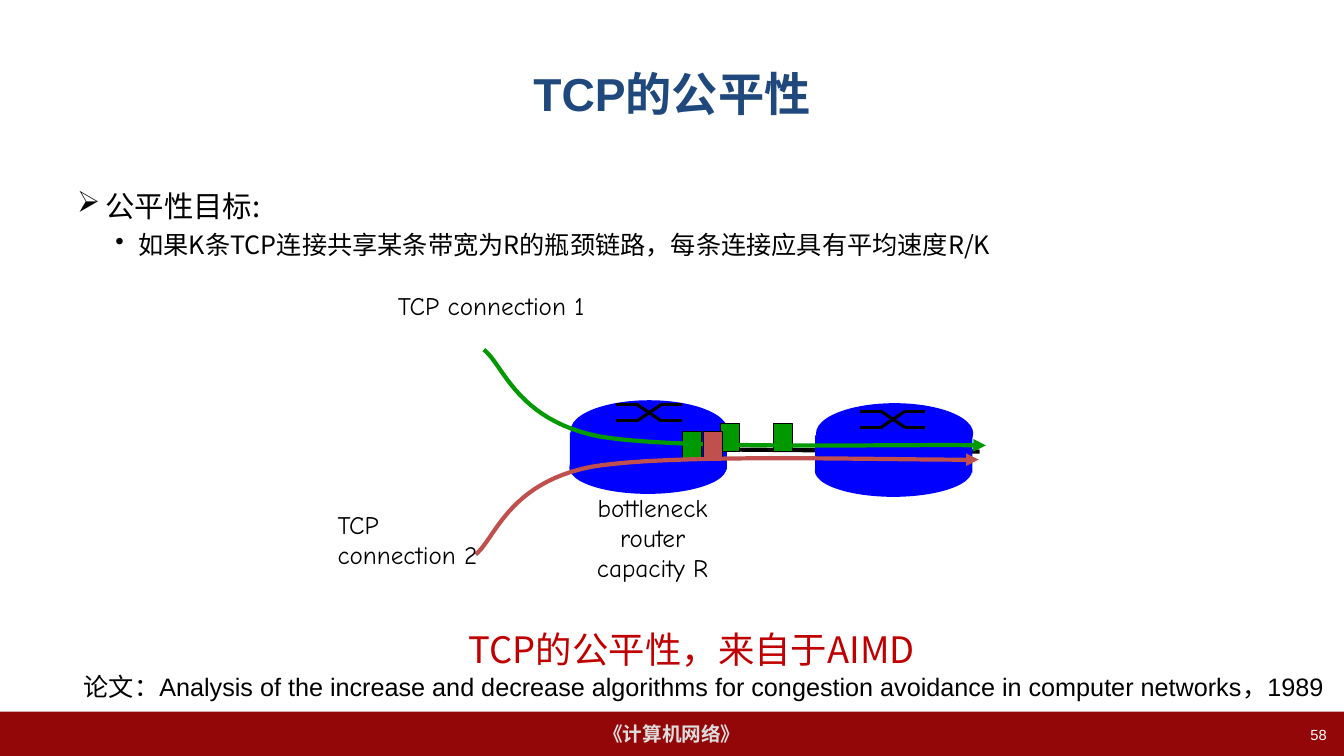
"""Build the slide on TCP fairness with its bottleneck router diagram."""
from lxml.etree import SubElement
from pptx import Presentation
from pptx.dml.color import RGBColor
from pptx.enum.shapes import MSO_CONNECTOR, MSO_SHAPE
from pptx.enum.text import MSO_ANCHOR, PP_ALIGN
from pptx.oxml.ns import qn
from pptx.util import Pt

COLORS = {"bar": "940709", "bar text": "DDDDDD", "title": "1F497D", "black": "000000",
          "white": "FFFFFF", "router": "0000FF", "green": "009900", "red": "C0504D",
          "claim": "C00000"}
SANS, CJK, COMIC = "Arial", "Noto Sans CJK SC", "Comic Neue"
LEFT, CENTER, RIGHT = PP_ALIGN.LEFT, PP_ALIGN.CENTER, PP_ALIGN.RIGHT

TITLE = "TCP的公平性"
BAR_TEXT = "《计算机网络》"
BULLETS = [
    ("➢", "公平性目标:", 21, 20.16, -20.16),
    ("•", "如果K条TCP连接共享某条带宽为R的瓶颈链路，每条连接应具有平均速度R/K", 18, 43.92, -16.56),
]
LABELS = [
    (["58"], (730.8, 514.8, 223.9, 25.2), RIGHT, 10.5, SANS, "white", 1, True),
    (["TCP connection 1"], (277.2, 203.8, 156.2, 28.8), LEFT, 18, COMIC, "black", 1, True),
    (["bottleneck", "router", "capacity R"], (413.3, 347.8, 105.8, 72.7),
     CENTER, 18, COMIC, "black", 1, True),
    (["TCP", "connection 2"], (234, 360, 121, 51.1), LEFT, 18, COMIC, "black", 1, True),
    (["TCP的公平性，来自于AIMD"], (219.6, 437.8, 549.4, 41.8), CENTER, 26, CJK, "claim", 1.2, True),
    (["论文：Analysis of the increase and decrease algorithms for congestion avoidance "
      "in computer networks，1989"], (43.2, 475.9, 918.7, 28.8), CENTER, 18, SANS, "black", 1, False),
]

LINKS = [((518.4, 321.1), (699.8, 322.6), 3), ((582.5, 314.6), (582.5, 337.7), 1)]
ROUTER_PARTS = [
    (MSO_SHAPE.OVAL, 0, 29.5, 37.4),
    (MSO_SHAPE.RECTANGLE, 0.3, 23, 26.6),
    (MSO_SHAPE.OVAL, 0.9, 0, 43.2),
]
ROUTER_WIDTH = 112.3
ROUTERS = [((406.7, 285.9), (440, 289)), ((582, 288), (614.2, 293.7))]
CROSS_HEIGHT = 11.6
CROSS_STROKES = [((0, 0), (16.5, 0)), ((15.1, 0), (32.3, 1)), ((32.3, 1), (46.8, 1))]
PACKET_SIZE = (13.7, 20.2)
FLOWS = [
    ("green", [(552.2, 302.4), (487.4, 308.2), (514.8, 302.4)],
     [(345.6, 249.8), (359.3, 259.9), (368.6, 300.2), (428.4, 311.8),
      (488.2, 321.8), (646.6, 316.8), (704.2, 318.2)]),
    ("red", [(502.6, 308.2)],
     [(339.8, 396), (353.5, 385.2), (362.9, 344.9), (422.6, 333.4),
      (482.4, 323.3), (641.5, 329), (699.1, 328.3)]),
]
CURVE_STEPS = 24


def color(name):
    return RGBColor.from_string(COLORS[name])


def add_run(paragraph, text, size, font, color_name, bold=False):
    run = paragraph.add_run()
    run.text = text
    run.font.size, run.font.bold, run.font.name = Pt(size), bold, font
    run.font.color.rgb = color(color_name)
    east_asian = SubElement(run.font._element, qn("a:ea"))
    east_asian.set("typeface", CJK)


def add_box(slide, box, wrap=True):
    frame = slide.shapes.add_textbox(*map(Pt, box)).text_frame
    frame.word_wrap = wrap
    return frame


def next_paragraph(frame, index):
    return frame.add_paragraph() if index else frame.paragraphs[0]


def add_block(slide, kind, box, fill, outlined=False):
    shape = slide.shapes.add_shape(kind, *map(Pt, box))
    shape.shadow.inherit = False
    shape.fill.solid()
    shape.fill.fore_color.rgb = color(fill)
    if outlined:
        shape.line.color.rgb = color("black")
        shape.line.width = Pt(0.75)
    else:
        shape.line.fill.background()
    return shape


def add_line(slide, start, end, width):
    line = slide.shapes.add_connector(MSO_CONNECTOR.STRAIGHT, *map(Pt, (*start, *end)))
    line.line.color.rgb = color("black")
    line.line.width = Pt(width)
    SubElement(line._element.spPr, qn("a:effectLst"))


def bezier_point(controls, t):
    weights = ((1 - t) ** 3, 3 * t * (1 - t) ** 2, 3 * t ** 2 * (1 - t), t ** 3)
    return tuple(Pt(sum(w * v for w, v in zip(weights, axis))) for axis in zip(*controls))


def add_flow(slide, controls, color_name):
    points = [bezier_point(controls[first:first + 4], step / CURVE_STEPS)
              for first in (0, 3) for step in range(1, CURVE_STEPS + 1)]
    builder = slide.shapes.build_freeform(*map(Pt, controls[0]))
    builder.add_line_segments(points, close=False)
    shape = builder.convert_to_shape()
    shape.shadow.inherit = False
    shape.fill.background()
    shape.line.color.rgb = color(color_name)
    shape.line.width = Pt(3)
    SubElement(shape.line._get_or_add_ln(), qn("a:tailEnd")).set("type", "triangle")


def add_router(slide, corner, cross):
    for kind, dx, dy, height in ROUTER_PARTS:
        add_block(slide, kind, (corner[0] + dx, corner[1] + dy, ROUTER_WIDTH, height), "router")
    for mirrored in (False, True):
        ends = [[(cross[0] + x, cross[1] + CROSS_HEIGHT * (1 - level if mirrored else level))
                 for x, level in stroke] for stroke in CROSS_STROKES]
        for start, end in ends:
            add_line(slide, start, end, 2.25)


def add_title(slide):
    title = slide.shapes.title
    title.left, title.top, title.width, title.height = map(Pt, (48, 21.6, 864, 90))
    title.text_frame.vertical_anchor = MSO_ANCHOR.MIDDLE
    paragraph = title.text_frame.paragraphs[0]
    paragraph.alignment = CENTER
    add_run(paragraph, TITLE, 33, SANS, "title", True)


def add_bullets(slide):
    frame = add_box(slide, (48, 126, 864, 68.4))
    for index, (mark, text, size, margin, indent) in enumerate(BULLETS):
        paragraph = next_paragraph(frame, index)
        properties = paragraph._p.get_or_add_pPr()
        properties.set("marL", str(Pt(margin)))
        properties.set("indent", str(Pt(indent)))
        SubElement(properties, qn("a:buChar")).set("char", mark)
        paragraph.line_spacing = 1.2
        add_run(paragraph, text, size, CJK, "black")


def add_labels(slide):
    for lines, box, alignment, size, font, color_name, spacing, wrap in LABELS:
        frame = add_box(slide, box, wrap)
        for index, text in enumerate(lines):
            paragraph = next_paragraph(frame, index)
            paragraph.alignment = alignment
            paragraph.line_spacing = spacing
            add_run(paragraph, text, size, font, color_name)


def main():
    presentation = Presentation()
    presentation.slide_width, presentation.slide_height = Pt(960), Pt(540)
    slide = presentation.slides.add_slide(presentation.slide_layouts[5])
    bar = add_block(slide, MSO_SHAPE.RECTANGLE, (0, 508.3, 960, 31.7), "bar")
    bar.text_frame.vertical_anchor = MSO_ANCHOR.MIDDLE
    bar.text_frame.paragraphs[0].alignment = CENTER
    add_run(bar.text_frame.paragraphs[0], BAR_TEXT, 14, SANS, "bar text", True)
    add_title(slide)
    add_bullets(slide)
    for start, end, width in LINKS:
        add_line(slide, start, end, width)
    for corner, cross in ROUTERS:
        add_router(slide, corner, cross)
    for color_name, packets, controls in FLOWS:
        for corner in packets:
            add_block(slide, MSO_SHAPE.RECTANGLE, (*corner, *PACKET_SIZE), color_name, True)
        add_flow(slide, controls, color_name)
    add_labels(slide)
    presentation.save("out.pptx")


if __name__ == "__main__":
    main()
